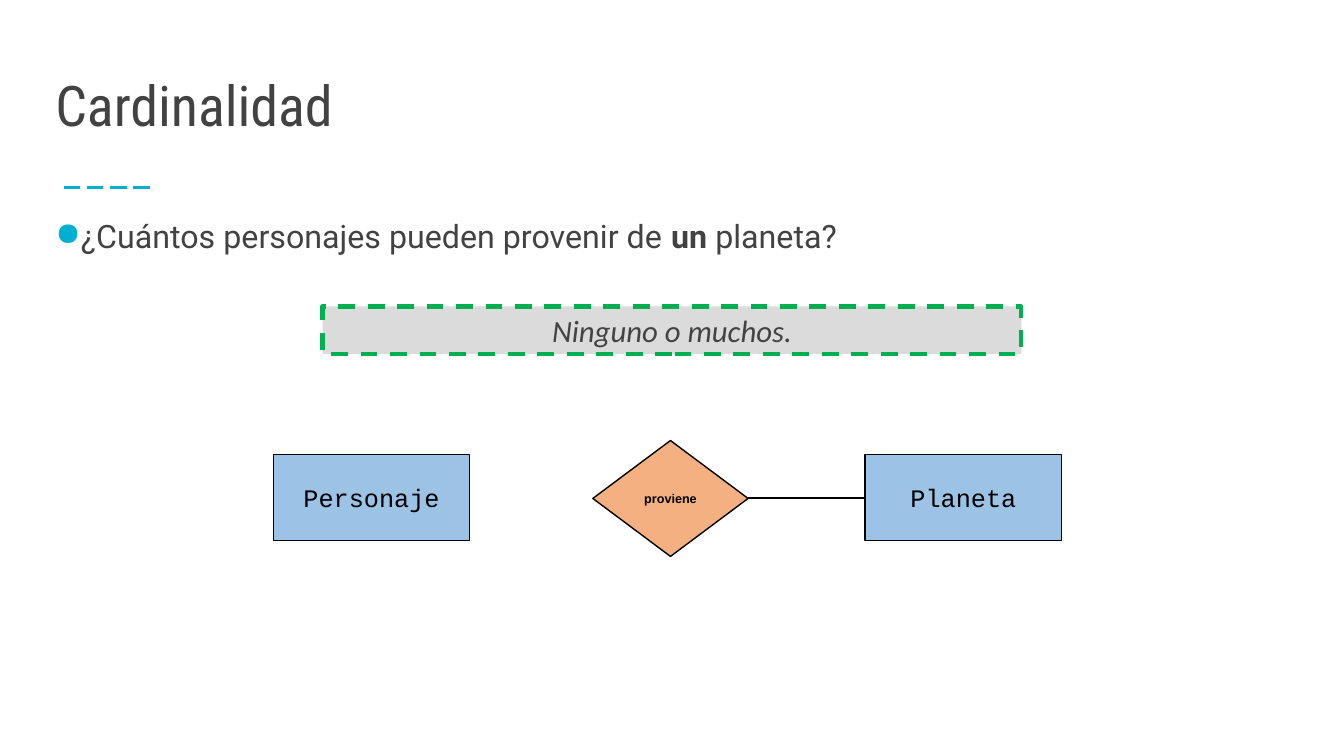
from dataclasses import dataclass

from lxml import etree
from pptx import Presentation
from pptx.dml.color import RGBColor
from pptx.enum.dml import MSO_LINE
from pptx.enum.shapes import MSO_CONNECTOR, MSO_SHAPE
from pptx.enum.text import MSO_ANCHOR, PP_ALIGN
from pptx.oxml.ns import qn
from pptx.util import Inches, Pt


@dataclass(frozen=True)
class Theme:
    text: str = "424242"
    answer_text: str = "434343"
    accent: str = "01AFD1"
    answer_fill: str = "DBDBDB"
    answer_line: str = "00B050"
    entity: str = "9CC2E5"
    relation: str = "F4B081"
    ink: str = "000000"
    title_size: float = 40
    question_size: float = 23
    answer_size: float = 22
    entity_size: float = 18
    relation_size: float = 9


class SlideBuilder:
    def __init__(self, slide, theme):
        self.slide = slide
        self.theme = theme

    def fill_text(self, shape, pieces, anchor, paragraph_format, font_format, color):
        frame_format = {
            "word_wrap": True,
            "vertical_anchor": anchor,
            "margin_left": Inches(0.1),
            "margin_right": Inches(0.1),
            "margin_top": Inches(0.05),
            "margin_bottom": Inches(0.05),
        }
        for name, value in frame_format.items():
            setattr(shape.text_frame, name, value)
        paragraph = shape.text_frame.paragraphs[0]
        for name, value in paragraph_format.items():
            setattr(paragraph, name, value)
        for text, emphasis in pieces:
            run = paragraph.add_run()
            run.text = text
            for name, value in {**font_format, **emphasis}.items():
                setattr(run.font, name, value)
            run.font.color.rgb = RGBColor.from_string(color)
        return paragraph

    def text(self, box, pieces, anchor, font, size, space_after=0):
        shape = self.slide.shapes.add_textbox(*map(Inches, box))
        paragraph_format = {"line_spacing": 0.9, "space_after": Pt(space_after)}
        font_format = {"name": font, "size": Pt(size)}
        return self.fill_text(shape, pieces, anchor, paragraph_format, font_format, self.theme.text)

    def bullet(self, paragraph, indent):
        properties = paragraph._p.get_or_add_pPr()
        properties.set("marL", str(Inches(indent)))
        properties.set("indent", str(Inches(-indent)))
        color = etree.SubElement(properties, qn("a:buClr"))
        etree.SubElement(color, qn("a:srgbClr"), val=self.theme.accent)
        etree.SubElement(properties, qn("a:buChar"), char="●")

    def stroke(self, line, color, width, dash=None):
        line.color.rgb = RGBColor.from_string(color)
        line.width = Pt(width)
        if dash:
            line.dash_style = dash

    def shape(self, kind, box, fill, line, label, font_format, color, anchor=MSO_ANCHOR.MIDDLE):
        shape = self.slide.shapes.add_shape(kind, *map(Inches, box))
        shape.shadow.inherit = False
        shape.fill.solid()
        shape.fill.fore_color.rgb = RGBColor.from_string(fill)
        self.stroke(shape.line, *line)
        centred = {"alignment": PP_ALIGN.CENTER}
        self.fill_text(shape, [(label, {})], anchor, centred, font_format, color)

    def line(self, left, right, top, color, dash=None):
        connector = self.slide.shapes.add_connector(
            MSO_CONNECTOR.STRAIGHT, Inches(left), Inches(top), Inches(right), Inches(top)
        )
        self.stroke(connector.line, color, 1.5, dash)
        etree.SubElement(connector._element.spPr, qn("a:effectLst"))


def main():
    presentation = Presentation()
    presentation.slide_width = Inches(13.33)
    presentation.slide_height = Inches(7.5)
    theme = Theme()
    builder = SlideBuilder(presentation.slides.add_slide(presentation.slide_layouts[6]), theme)

    builder.line(0.63, 1.52, 1.86, theme.accent, MSO_LINE.LONG_DASH)
    builder.text(
        (0.45, 0.54, 12.42, 1.07), [("Cardinalidad", {})],
        MSO_ANCHOR.MIDDLE, "Roboto Condensed", theme.title_size,
    )
    question = builder.text(
        (0.45, 2.14, 12.42, 1.68),
        [
            ("¿Cuántos personajes pueden provenir de ", {}),
            ("un", {"bold": True}),
            (" planeta?", {}),
        ],
        MSO_ANCHOR.TOP, "Roboto", theme.question_size, 21,
    )
    builder.bullet(question, 0.25)

    builder.shape(
        MSO_SHAPE.RECTANGLE, (3.2, 3.04, 6.93, 0.47), theme.answer_fill,
        (theme.answer_line, 3, MSO_LINE.DASH), "Ninguno o muchos.",
        {"name": "Calibri", "size": Pt(theme.answer_size), "italic": True},
        theme.answer_text, MSO_ANCHOR.TOP,
    )

    outline = (theme.ink, 1)
    entity_font = {"name": "Courier New", "size": Pt(theme.entity_size)}
    for label, left in (("Personaje", 2.71), ("Planeta", 8.58)):
        builder.shape(
            MSO_SHAPE.RECTANGLE, (left, 4.51, 1.95, 0.85), theme.entity,
            outline, label, entity_font, theme.ink,
        )
    builder.shape(
        MSO_SHAPE.DIAMOND, (5.88, 4.37, 1.54, 1.15), theme.relation, outline, "proviene",
        {"name": "Arial", "size": Pt(theme.relation_size), "bold": True}, theme.ink,
    )
    builder.line(7.42, 8.58, 4.94, theme.ink)

    presentation.save("out.pptx")


if __name__ == "__main__":
    main()
